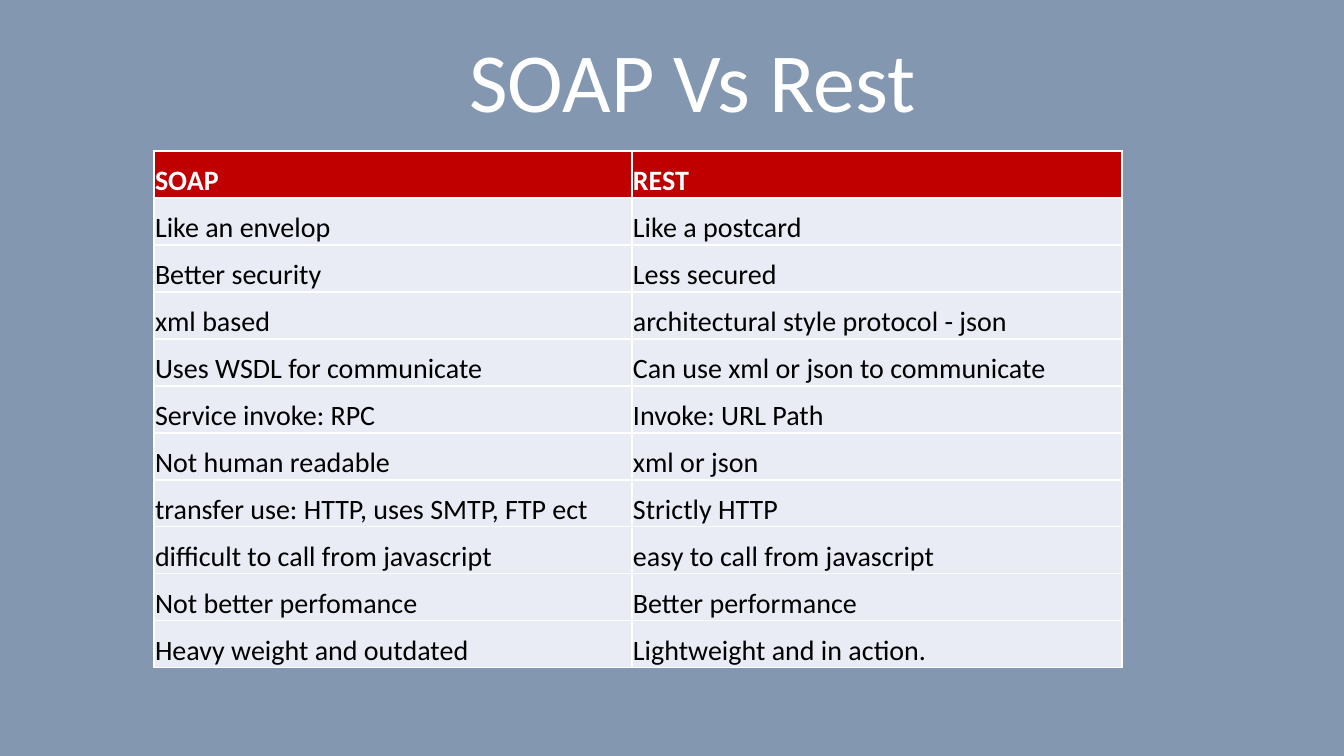
from lxml.etree import SubElement
from pptx import Presentation
from pptx.dml.color import RGBColor
from pptx.enum.text import MSO_ANCHOR as ANCHOR, PP_ALIGN as ALIGN
from pptx.oxml.ns import qn
from pptx.util import Emu, Pt

COLORS = {"background": "8497B0", "header": "C00000", "row": "E9EBF5",
          "light": "FFFFFF", "dark": "000000"}
COMPARISON = [
    ("SOAP", "REST"),
    ("Like an envelop", "Like a postcard"),
    ("Better security", "Less secured"),
    ("xml based", "architectural style protocol - json"),
    ("Uses WSDL for communicate", "Can use xml or json to communicate"),
    ("Service invoke: RPC", "Invoke: URL Path"),
    ("Not human readable", "xml or json"),
    ("transfer use: HTTP, uses SMTP, FTP ect", "Strictly HTTP"),
    ("difficult to call from javascript", "easy to call from javascript"),
    ("Not better perfomance", "Better performance"),
    ("Heavy weight and outdated", "Lightweight and in action."),
]


def px(n):
    return Emu(round(n * 914400 / 100.8))


def rgb(name):
    return RGBColor.from_string(COLORS[name])


def apply(target, values):
    for name, value in values.items():
        setattr(target, name, value)


def write(p, text, size, color, bold=False):
    r = p.add_run()
    r.text = text
    apply(r.font, {"name": "Calibri", "size": Pt(size), "bold": bold})
    r.font.color.rgb = rgb(color)


def add_borders(cell, color):
    tc_pr = cell._tc.get_or_add_tcPr()
    for side in ("lnL", "lnR", "lnT", "lnB"):
        ln = SubElement(tc_pr, qn(f"a:{side}"), w=str(Pt(1)))
        fill = SubElement(ln, qn("a:solidFill"))
        SubElement(fill, qn("a:srgbClr"), val=COLORS[color])


def add_title(s, box, text):
    sp = s.shapes.title
    apply(sp, dict(zip(("left", "top", "width", "height"), map(px, box))))
    tf = sp.text_frame
    apply(tf, {"vertical_anchor": ANCHOR.MIDDLE, "word_wrap": True})
    p = tf.paragraphs[0]
    apply(p, {"alignment": ALIGN.CENTER, "line_spacing": 0.9})
    write(p, text, 60, "light")


def add_comparison(s, box, widths, rows):
    table = s.shapes.add_table(len(rows), len(widths), *map(px, box)).table
    table.horz_banding = False
    for column, width in zip(table.columns, widths):
        column.width = px(width)
    for i, texts in enumerate(rows):
        table.rows[i].height = px(box[3] / len(rows))
        is_header = i == 0
        for cell, text in zip(table.rows[i].cells, texts):
            apply(cell, {"vertical_anchor": ANCHOR.BOTTOM, "margin_left": px(1),
                         "margin_right": px(1), "margin_top": px(1), "margin_bottom": 0})
            add_borders(cell, "light")
            cell.fill.solid()
            cell.fill.fore_color.rgb = rgb("header" if is_header else "row")
            write(cell.text_frame.paragraphs[0], text, 20,
                  "light" if is_header else "dark", is_header)


prs = Presentation()
apply(prs, {"slide_width": px(1344), "slide_height": px(756)})
s = prs.slides.add_slide(prs.slide_layouts[5])
s.background.fill.solid()
s.background.fill.fore_color.rgb = rgb("background")
add_title(s, (113, 12, 1159, 146), "SOAP Vs Rest")
add_comparison(s, (154, 151, 968, 517), (478, 490), COMPARISON)
prs.save("out.pptx")
